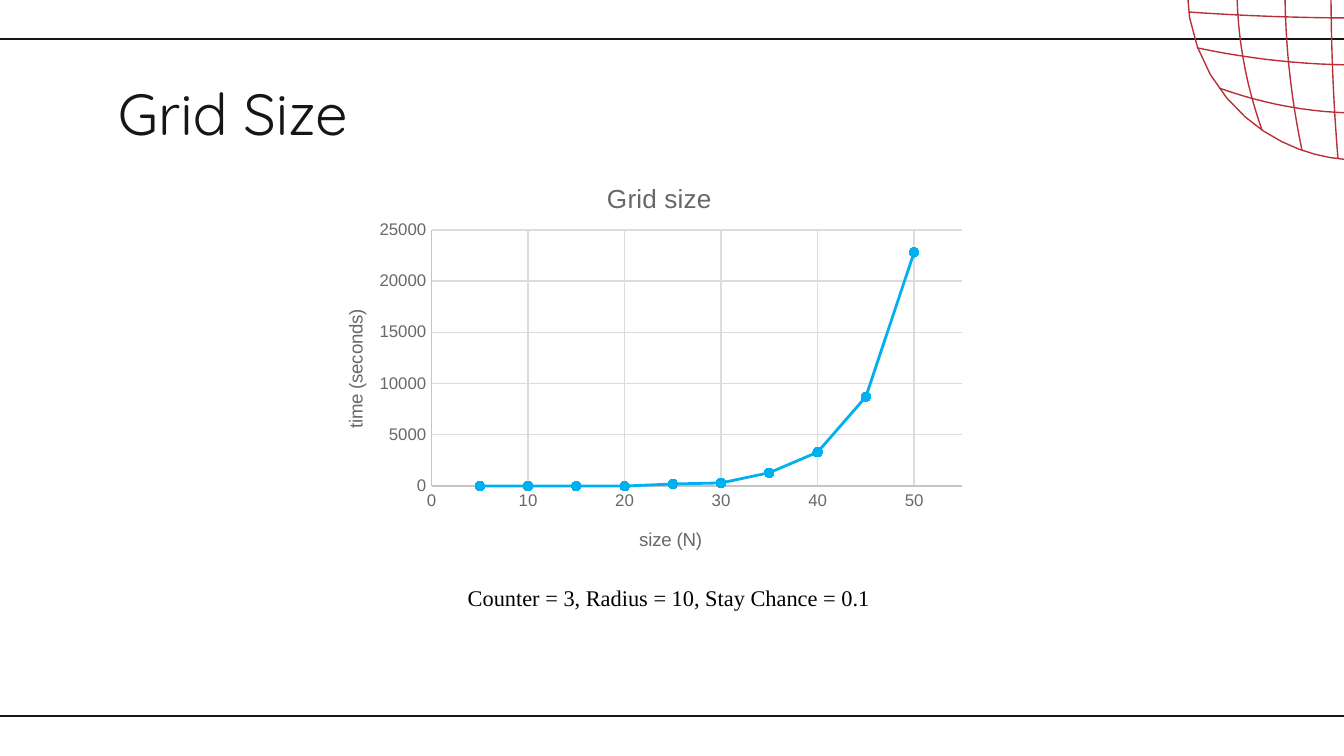
"""Build the Grid Size slide: a timing chart, its caption and a wire globe."""
from math import sqrt

from lxml.etree import SubElement
from pptx import Presentation
from pptx.chart.data import XyChartData
from pptx.dml.color import RGBColor
from pptx.enum.chart import XL_CHART_TYPE, XL_MARKER_STYLE, XL_TICK_MARK
from pptx.enum.shapes import MSO_CONNECTOR
from pptx.enum.text import MSO_ANCHOR, PP_ALIGN
from pptx.oxml.ns import qn
from pptx.util import Pt

INK = RGBColor(0x16, 0x16, 0x16)
BLACK = RGBColor(0, 0, 0)
RED = RGBColor(0xB9, 0x2F, 0x38)
BLUE = RGBColor(0x00, 0xB0, 0xF0)
GRAY = RGBColor(0x68, 0x68, 0x68)
AXIS = RGBColor(0xC5, 0xC5, 0xC5)
GRID = RGBColor(0xDC, 0xDC, 0xDC)

W, H = 1344, 756
RULES = [39, 716]
TEXTS = [
    ("Grid Size", (105, 65, 1082, 154), "Quicksand", 31, INK, PP_ALIGN.LEFT),
    ("Counter = 3, Radius = 10, Stay Chance = 0.1", (286, 578, 766, 40),
     "Times New Roman", 12, BLACK, PP_ALIGN.CENTER),
]
CHART_BOX = (320, 157, 672, 403)
SIZES = [5, 10, 15, 20, 25, 30, 35, 40, 45, 50]
TIMES = [0, 0, 0, 0, 200, 300, 1300, 3300, 8700, 22800]
PLOT = {"x": 0.166, "y": 0.181, "w": 0.79, "h": 0.636}

CENTER, RADIUS = (1359, -12), 172
PARALLELS = [(-119, -95), (-73, -54), (-26, -19), (30, 24), (77, 60), (125, 100)]
MERIDIANS = [(-122, -97), (-74, -57), (-28, -21), (29, 22), (76, 58), (123, 98)]
STEPS = 24


def px(n):
    return round(n * 914400 / 134.4)


def add_rule(s, y):
    line = s.shapes.add_connector(MSO_CONNECTOR.STRAIGHT, 0, px(y), px(W), px(y))
    line.line.color.rgb = INK
    line.line.width = Pt(0.75)
    SubElement(line._element.spPr, qn("a:effectLst"))


def arc(middle, end):
    """Return points that bulge from one side of the globe to the other."""
    half = sqrt(RADIUS ** 2 - end ** 2)
    ts = [2 * i / STEPS - 1 for i in range(STEPS + 1)]
    return [(half * t, middle + (end - middle) * t * t) for t in ts]


def add_globe(s):
    rim = [(sign * x, sign * y) for sign in (1, -1) for x, y in arc(RADIUS, 0)]
    rim = [(x * RADIUS / sqrt(x * x + y * y), y * RADIUS / sqrt(x * x + y * y))
           for x, y in rim]
    curves = [arc(*c) for c in PARALLELS]
    curves += [[(y, x) for x, y in arc(*c)] for c in MERIDIANS]
    place = lambda pts: [(px(CENTER[0] + x), px(CENTER[1] + y)) for x, y in pts]
    rim = place(rim)
    fb = s.shapes.build_freeform(*rim[0])
    fb.add_line_segments(rim[1:], close=True)
    for pts in map(place, curves):
        fb.move_to(*pts[0])
        fb.add_line_segments(pts[1:], close=False)
    globe = fb.convert_to_shape()
    globe.shadow.inherit = False
    globe.fill.background()
    globe.line.color.rgb = RED
    globe.line.width = Pt(0.75)


def style(font, name, size, color):
    font.name, font.size, font.bold = name, Pt(size), False
    font.color.rgb = color


def add_text(s, text, box, name, size, color, align):
    tf = s.shapes.add_textbox(*map(px, box)).text_frame
    tf.word_wrap = True
    tf.vertical_anchor = MSO_ANCHOR.TOP
    if name == "Quicksand":
        tf.margin_top = tf.margin_left = px(13)
    p = tf.paragraphs[0]
    p.text = text
    p.alignment = align
    style(p.runs[0].font, name, size, color)


def set_layout(node, index, modes, values):
    layout = node.find(qn("c:layout"))
    if layout is None:
        layout = SubElement(node, qn("c:layout"))
        node.insert(index, layout)
    manual = SubElement(layout, qn("c:manualLayout"))
    for tag, val in {**modes, "xMode": "edge", "yMode": "edge", **values}.items():
        SubElement(manual, qn("c:" + tag)).set("val", str(val))


def set_title(owner, title, text, size, x, y):
    tf = title.text_frame
    tf.text = text
    style(tf.paragraphs[0].runs[0].font, "Arial", size, GRAY)
    set_layout(title._element, 1, {}, {"x": x, "y": y})


def add_chart(s):
    data = XyChartData()
    series = data.add_series("Series 1")
    for x, y in zip(SIZES, TIMES):
        series.add_data_point(x, y)
    chart = s.shapes.add_chart(XL_CHART_TYPE.XY_SCATTER_LINES,
                               *map(px, CHART_BOX), data).chart
    style(chart.font, "Arial", 10, INK)
    chart.has_legend = False
    set_title(chart, chart.chart_title, "Grid size", 14, 0.42, 0.05)
    axes = [(chart.category_axis, "size (N)", 55, 10, 0.47, 0.91),
            (chart.value_axis, "time (seconds)", 25000, 5000, 0.03, 0.37)]
    for axis, text, top, unit, x, y in axes:
        axis.minimum_scale, axis.maximum_scale, axis.major_unit = 0, top, unit
        axis.major_tick_mark = axis.minor_tick_mark = XL_TICK_MARK.NONE
        axis.has_major_gridlines = True
        for line, color in ((axis.format.line, AXIS),
                            (axis.major_gridlines.format.line, GRID)):
            line.color.rgb = color
            line.width = Pt(0.75)
        style(axis.tick_labels.font, "Arial", 9, GRAY)
        axis.tick_labels.number_format = "General"
        axis.tick_labels.number_format_is_linked = False
        set_title(axis, axis.axis_title, text, 10, x, y)
    body = chart.value_axis.axis_title._element.find(".//" + qn("a:bodyPr"))
    body.set("rot", "-5400000")
    body.set("vert", "horz")
    area = chart._chartSpace.find(".//" + qn("c:plotArea"))
    modes = {"layoutTarget": "inner"}
    set_layout(area, 0, modes, PLOT)
    plot = chart.plots[0]
    plot.vary_by_categories = False
    ser = plot.series[0]
    ser.smooth = False
    ser.format.line.color.rgb = BLUE
    ser.format.line.width = Pt(1.5)
    ser.marker.style, ser.marker.size = XL_MARKER_STYLE.CIRCLE, 5
    ser.marker.format.fill.solid()
    ser.marker.format.fill.fore_color.rgb = BLUE
    ser.marker.format.line.color.rgb = BLUE


def main():
    prs = Presentation()
    prs.slide_width, prs.slide_height = px(W), px(H)
    s = prs.slides.add_slide(prs.slide_layouts[6])
    for y in RULES:
        add_rule(s, y)
    add_globe(s)
    for item in TEXTS:
        add_text(s, *item)
    add_chart(s)
    prs.save("out.pptx")


if __name__ == "__main__":
    main()
